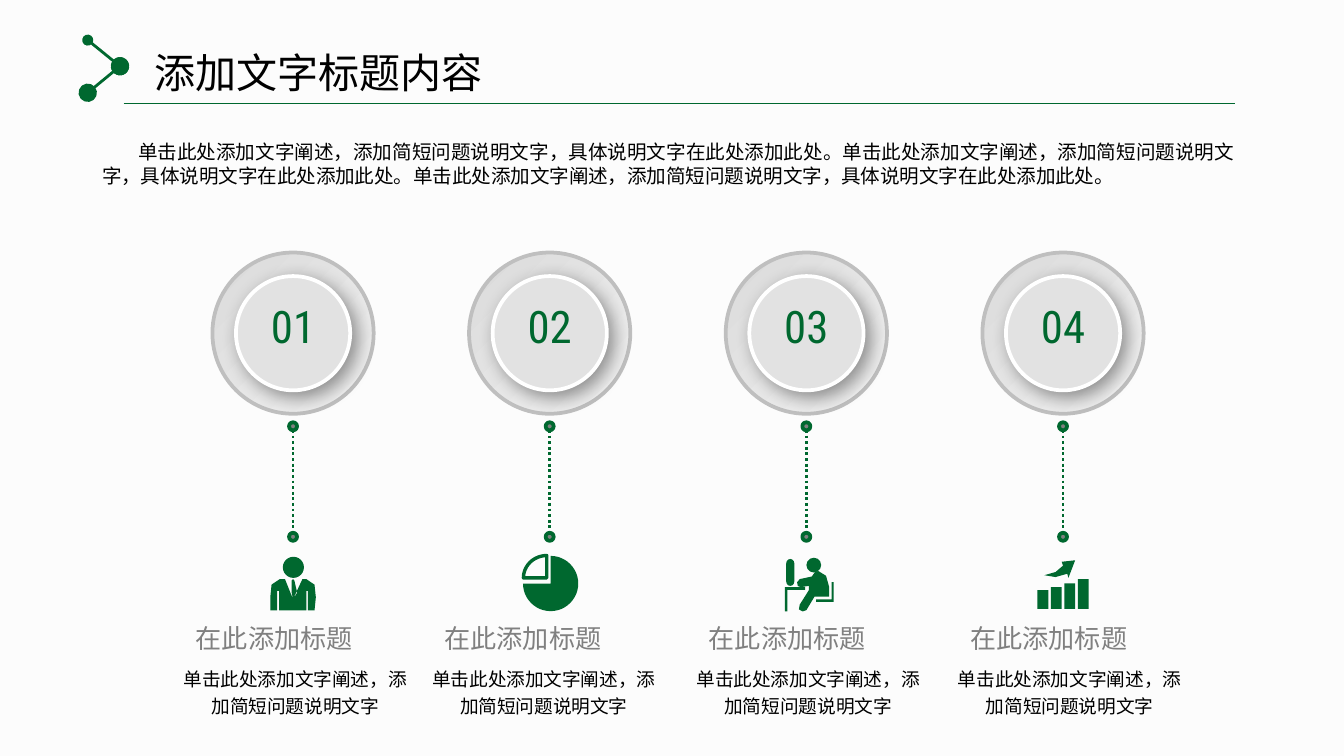
"""Build a slide with four numbered circles, icons and captions."""
from dataclasses import dataclass

from lxml import etree
from pptx import Presentation
from pptx import util as u
from pptx.dml.color import RGBColor
from pptx.enum import dml, shapes, text
from pptx.oxml import ns

Pt = u.Pt
GREEN = RGBColor(0x00, 0x68, 0x2F)
GRAY = RGBColor(0x80, 0x80, 0x80)
RING = RGBColor(0xBF, 0xBF, 0xBF)
DISC = RGBColor(0xE2, 0xE2, 0xE2)
SHADE = RGBColor(0xD9, 0xD9, 0xD9)
LIGHT = RGBColor(0xF2, 0xF2, 0xF2)
WHITE = RGBColor(0xFF, 0xFF, 0xFF)
BLACK = RGBColor(0, 0, 0)
PAPER = RGBColor(0xFC, 0xFC, 0xFC)
CJK = "Noto Sans CJK SC"
NUMBER_FONT = "Roboto Condensed"
SENTENCE = "单击此处添加文字阐述，添加简短问题说明文字"
INTRO = (SENTENCE + "，具体说明文字在此处添加此处。") * 3
FIRST_CENTER, PITCH, RING_MIDDLE = 157, 137.5, 178.5
KIND = shapes.MSO_SHAPE


@dataclass
class Part:
    kind: shapes.MSO_SHAPE
    left: float
    top: float
    width: float
    height: float
    rotation: float = 0
    outline: float = 0


@dataclass
class Outline:
    points: list[tuple[float, float]]


@dataclass
class Column:
    caption_left: float
    icon: list[Part | Outline]


PERSON = [
    Part(KIND.OVAL, -5.5, 298.3, 11.3, 11.3),
    Outline([(11.5, 313.2), (7.2, 310.3), (5, 310.3), (0, 321), (2.2, 317.5), (0.7, 311),
             (0, 310.3), (-0.7, 311), (-0.7, 317.5), (0, 321), (-4.3, 310.3), (-7.2, 310.3),
             (-11.5, 313.2), (-12.2, 320), (-12.2, 327), (-8.6, 327), (-8.6, 316.5),
             (-7.5, 316.5), (-7.5, 327), (7.2, 327), (7.2, 316.5), (8, 316.5), (8, 327),
             (11.5, 327), (12.2, 320)]),
]
PIE_CHART = [
    Part(KIND.PIE, -14.3, 297.8, 29.6, 29.6, rotation=270),
    Part(KIND.PIE_WEDGE, -14.1, 297.6, 12.5, 12, outline=1.8),
]
DESK = [
    Outline([(-11.5, 314.6), (-0.7, 314.6), (-0.7, 316), (-10.2, 316), (-10.2, 327.5),
             (-11.5, 327.5)]),
    Part(KIND.FLOWCHART_TERMINATOR, -15.85, 304.55, 14.4, 4.3, rotation=90),
    Part(KIND.OVAL, 0, 298.8, 7.9, 7.9),
    Outline([(-3.6, 324), (-4, 326.5), (-2, 327.6), (0, 326.9), (4.3, 319.7), (12.2, 319.7),
             (12.2, 314.6), (10.5, 308.5), (6.5, 306), (4.8, 306.2), (2.9, 308.9),
             (-3.6, 310.3), (-5, 312), (-4.6, 314), (-2.9, 314.6), (1.4, 313.9), (1.4, 316.1)]),
    Outline([(5.2, 321.2), (13.6, 321.2), (13.6, 311.9), (14.6, 311.9), (14.6, 322.5),
             (5.2, 322.5)]),
]
GROWTH = [Part(KIND.RECTANGLE, -13.7 + 7.2 * i, top, 5.8, 326.2 - top)
          for i, top in enumerate((316.2, 314.6, 312.5, 310.3))] + [
    Outline([(0, 303.1), (-4, 306.5), (-10, 308.2), (-4, 309.2), (2.3, 307.4), (2.9, 309.6),
             (6.5, 300.2), (-0.7, 301)]),
]
COLUMNS = [Column(88.6, PERSON), Column(221.8, PIE_CHART),
           Column(363.4, DESK), Column(503.5, GROWTH)]


def paint(shape, fill: RGBColor | None, line: RGBColor | None = None, width: float = 0) -> None:
    shape.shadow.inherit = False
    if fill is None:
        shape.fill.background()
    else:
        shape.fill.solid()
        shape.fill.fore_color.rgb = fill
    if line is None:
        shape.line.fill.background()
    else:
        shape.line.color.rgb = line
        shape.line.width = Pt(width)


def add_circle(page, x: float, y: float, size: float, fill: RGBColor, line: RGBColor):
    circle = page.shapes.add_shape(KIND.OVAL, Pt(x - size / 2), Pt(y - size / 2), Pt(size), Pt(size))
    paint(circle, fill, line, 2)
    return circle


def add_line(page, start: tuple, end: tuple, width: float, dash=None, ends: tuple = ()) -> None:
    line = page.shapes.add_connector(shapes.MSO_CONNECTOR.STRAIGHT, *map(Pt, start + end))
    line.line.color.rgb = GREEN
    line.line.width = Pt(width)
    if dash:
        line.line.dash_style = dash
    for tag, size in zip(("a:headEnd", "a:tailEnd"), ends):
        etree.SubElement(line.line._get_or_add_ln(), ns.qn(tag), type="oval", w=size, len=size)
    etree.SubElement(line._element.spPr, ns.qn("a:effectLst"))


def add_disc_shadow(disc) -> None:
    effects = disc._element.spPr.find(ns.qn("a:effectLst"))
    shadow = etree.SubElement(effects, ns.qn("a:outerShdw"), blurRad=str(Pt(10)), dist=str(Pt(4)),
                              dir="2700000", algn="tl", rotWithShape="0")
    color = etree.SubElement(shadow, ns.qn("a:srgbClr"), val=str(BLACK))
    etree.SubElement(color, ns.qn("a:alpha"), val="40000")


def add_icon(page, center: float, icon: list[Part | Outline]) -> None:
    for part in icon:
        if isinstance(part, Outline):
            points = [(Pt(center + x), Pt(y)) for x, y in part.points]
            builder = page.shapes.build_freeform(*points[0])
            builder.add_line_segments(points[1:])
            paint(builder.convert_to_shape(), GREEN)
            continue
        shape = page.shapes.add_shape(part.kind, Pt(center + part.left), Pt(part.top),
                                      Pt(part.width), Pt(part.height))
        shape.rotation = part.rotation
        if part.outline:
            paint(shape, None, GREEN, part.outline)
        else:
            paint(shape, GREEN)


def write(box, frame: tuple, words: str, size: float, color: RGBColor, align, font: str = CJK,
          insets: tuple = (5, 3), spacing: float = 1, indent: float = 0) -> None:
    box.left, box.top, box.width, box.height = map(Pt, frame)
    body = box.text_frame
    body.text = words
    body.word_wrap = True
    body.auto_size = text.MSO_AUTO_SIZE.NONE
    body.margin_left = body.margin_right = Pt(insets[0])
    body.margin_top = body.margin_bottom = Pt(insets[1])
    para = body.paragraphs[0]
    para.alignment = align
    para.line_spacing = spacing
    para.space_before = Pt(0)
    properties = para._p.get_or_add_pPr()
    properties.set("marL", "0")
    properties.set("indent", str(Pt(indent)))
    etree.SubElement(properties, ns.qn("a:buNone"))
    span = para.runs[0]
    span.font.size = Pt(size)
    span.font.color.rgb = color
    span.font.name = font
    etree.SubElement(span._r.get_or_add_rPr(), ns.qn("a:ea"), typeface=font)


def add_text(page, frame: tuple, *args, **options) -> None:
    write(page.shapes.add_textbox(0, 0, 0, 0), frame, *args, **options)


def add_column(page, index: int, column: Column) -> None:
    center = FIRST_CENTER + PITCH * index
    ring = add_circle(page, center, RING_MIDDLE, 86.4, SHADE, RING)
    ring.fill.gradient()
    ring.fill.gradient_angle = 315
    for stop, color in zip(ring.fill.gradient_stops, (SHADE, LIGHT)):
        stop.color.rgb = color
    add_disc_shadow(add_circle(page, center, RING_MIDDLE, 61.2, DISC, WHITE))
    align = text.PP_ALIGN
    add_text(page, (center - 25.2, 157, 50.4, 34.6), f"{index + 1:02}", 24, GREEN, align.CENTER,
             font=NUMBER_FONT)
    add_line(page, (center, 230.4), (center, 288.7), 1.5, dash=dml.MSO_LINE.ROUND_DOT)
    for y in (228.4, 287.6):
        add_circle(page, center, y, 4.3, GRAY, GREEN)
    add_icon(page, center, column.icon)
    add_text(page, (column.caption_left + 9.2, 329.8, 128, 24.5), "在此添加标题", 14, GRAY,
             align.LEFT, insets=(7.2, 3.6))
    add_text(page, (column.caption_left, 352, 139, 36), SENTENCE, 10, BLACK, align.CENTER,
             insets=(7.2, 3.6), spacing=1.2)


def main() -> None:
    deck = Presentation()
    deck.slide_width, deck.slide_height = Pt(720), Pt(405)
    page = deck.slides.add_slide(deck.slide_layouts[1])
    page.background.fill.solid()
    page.background.fill.fore_color.rgb = PAPER
    add_line(page, (47, 21.5), (64.3, 35.5), 1.5, ends=("med", "lg"))
    add_line(page, (64.3, 35.5), (47, 49.7), 1.5, ends=("lg", "lg"))
    add_line(page, (66.2, 55.5), (661.7, 55.5), 1)
    write(page.shapes.title, (62, 22.3, 217.5, 32.4), "添加文字标题内容", 22, BLACK,
          text.PP_ALIGN.CENTER)
    write(page.placeholders[1], (49.7, 72, 617, 32.4), INTRO, 10.5, BLACK,
          text.PP_ALIGN.JUSTIFY, indent=19.3)
    for index, column in enumerate(COLUMNS):
        add_column(page, index, column)
    deck.save("out.pptx")


if __name__ == "__main__":
    main()
